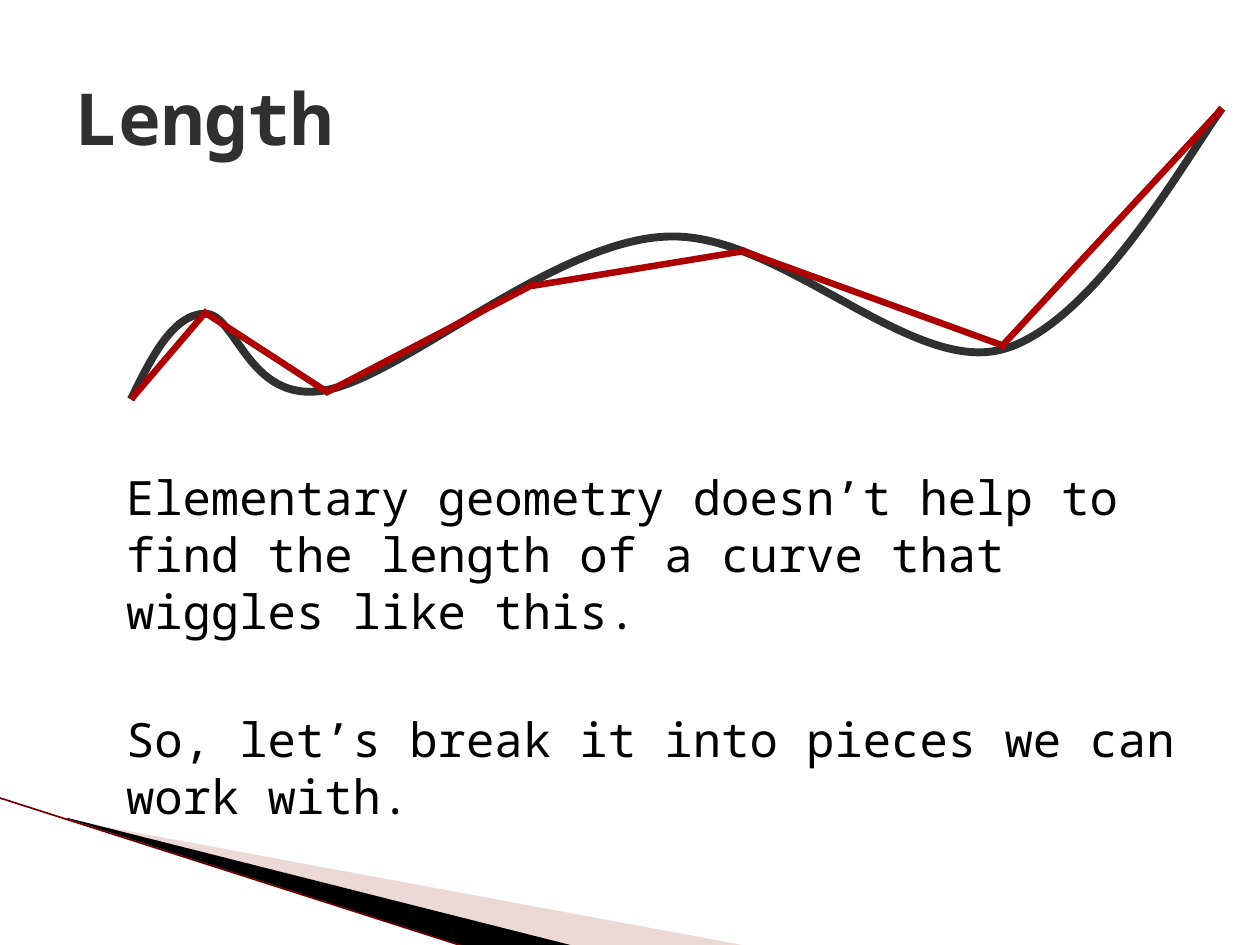
from dataclasses import dataclass

from lxml import etree
from pptx import Presentation
from pptx.dml.color import RGBColor
from pptx.enum import shapes, text
from pptx.oxml import ns
from pptx.util import Pt


@dataclass(frozen=True)
class Theme:
    font: str = "Noto Sans Mono"
    ink: str = "000000"
    dark: str = "303030"
    red: str = "AD0101"
    blush: str = "D29E9E"
    maroon: str = "700000"
    title_size: float = 41
    body_size: float = 27
    curve_width: float = 4.5
    chord_width: float = 3.75
    edge_width: float = 0.95


THEME = Theme()


def rgb(value):
    return RGBColor.from_string(value)


def place(box, points):
    """Move points from box coordinates to slide coordinates."""
    return [(Pt(box[0] + x), Pt(box[1] + y)) for x, y in points]


def add_line(s, box, start, end, color, width):
    (x1, y1), (x2, y2) = place(box, [start, end])
    line = s.shapes.add_connector(shapes.MSO_CONNECTOR.STRAIGHT, x1, y1, x2, y2)
    line.line.color.rgb = rgb(color)
    line.line.width = Pt(width)
    etree.SubElement(line._element.spPr, ns.qn("a:effectLst"))


def add_outline(s, box, points, close):
    first, *rest = place(box, points)
    builder = s.shapes.build_freeform(*first)
    builder.add_line_segments(rest, close=close)
    sp = builder.convert_to_shape()
    sp.shadow.inherit = False
    return sp


def add_wedge(s, box, points, color, alpha=100):
    sp = add_outline(s, box, points, True)
    sp.fill.solid()
    sp.fill.fore_color.rgb = rgb(color)
    sp.line.fill.background()
    if alpha < 100:
        clr = sp._element.spPr.find(".//" + ns.qn("a:srgbClr"))
        etree.SubElement(clr, ns.qn("a:alpha"), val=str(alpha * 1000))


def add_bezier(s, box, points, color, width):
    """Draw a start point followed by triples of cubic control points."""
    sp = add_outline(s, box, points, False)
    sp.fill.background()
    sp.line.color.rgb = rgb(color)
    sp.line.width = Pt(width)
    path = sp._element.spPr.find(".//" + ns.qn("a:path"))
    segments = path.findall(ns.qn("a:lnTo"))
    for i in range(0, len(segments), 3):
        cubic = etree.SubElement(path, ns.qn("a:cubicBezTo"))
        for segment in segments[i:i + 3]:
            cubic.append(segment[0])
            path.remove(segment)


def add_text(s, box, paragraphs, font, frame):
    tf = s.shapes.add_textbox(*map(Pt, box)).text_frame
    tf.word_wrap = True
    for name, value in frame.items():
        setattr(tf, name, value)
    for i, (words, space_before) in enumerate(paragraphs):
        p = tf.paragraphs[0] if i == 0 else tf.add_paragraph()
        p.space_before = Pt(space_before)
        r = p.add_run()
        r.text = words
        r.font.color.rgb = rgb(font["color"])
        for name in ("size", "bold"):
            setattr(r.font, name, font[name])
        r.font.name = THEME.font


def corner(s, box):
    # Folded wedges at the bottom left
    add_wedge(s, box, [(39.6, 12.9), (428.4, 85), (328.3, 85), (39.6, 12.2)],
              THEME.blush, 40)
    add_wedge(s, box, [(38.2, 11.5), (329, 85), (267.8, 85.7), (38.9, 12.2)],
              THEME.ink)
    add_line(s, box, (-0.7, 0), (267.1, 85.7), THEME.maroon, THEME.edge_width)


def title(s, box):
    add_text(s, box, [("Length", 0)],
             dict(size=Pt(THEME.title_size), bold=True, color=THEME.dark),
             dict(vertical_anchor=text.MSO_ANCHOR.MIDDLE))


def body(s, box):
    add_text(s, box, [
        ("Elementary geometry doesn’t help to find the length of a curve "
         "that wiggles like this.", 0),
        ("So, let’s break it into pieces we can work with.", 41),
    ], dict(size=Pt(THEME.body_size), bold=False, color=THEME.ink),
        dict(margin_left=Pt(36)))


def curve_with_chords(s, box):
    # Wiggling curve
    add_bezier(s, box, [
        (0, 166.3),
        (11.5, 142.6), (23.8, 118.1), (41.8, 117.4),
        (60.5, 116.6), (66.2, 168.5), (110.2, 161.3),
        (154.1, 154.1), (239.8, 77), (304.6, 73.4),
        (368.6, 69.1), (442.8, 150.5), (496.1, 138.2),
        (549.4, 126), (605.5, 23.8), (623.5, 0),
    ], THEME.dark, THEME.curve_width)
    # Straight pieces that approximate it
    for start, end in [
        ((0, 166.3), (41.8, 117.4)),
        ((41, 115.9), (113, 162.7)),
        ((110.9, 162.7), (230.9, 100.1)),
        ((229, 101.5), (351.4, 81.4)),
        ((349.2, 81.4), (499.7, 136.1)),
        ((496.8, 136.8), (623.5, 0)),
    ]:
        add_line(s, box, start, end, THEME.red, THEME.chord_width)


def main():
    prs = Presentation()
    prs.slide_width, prs.slide_height = Pt(720), Pt(540)
    s = prs.slides.add_slide(prs.slide_layouts[6])
    corner(s, (0, 455.8))
    body(s, (36, 264.2, 666, 208.8))
    title(s, (36, 21.6, 648, 90))
    curve_with_chords(s, (74.9, 61.9))
    prs.save("out.pptx")


if __name__ == "__main__":
    main()
